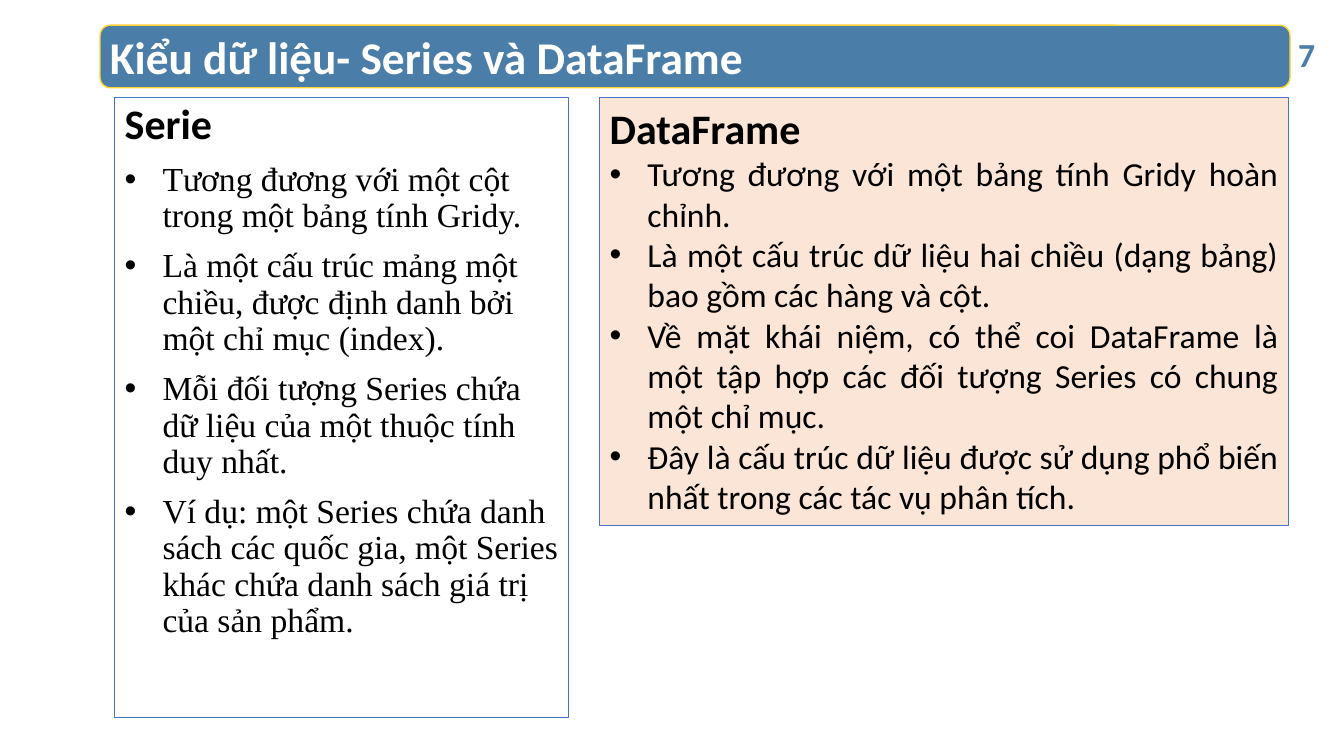
from lxml.etree import SubElement
from pptx import Presentation
from pptx.dml.color import RGBColor
from pptx.enum.shapes import MSO_SHAPE as Shape
from pptx.enum.text import MSO_ANCHOR as Anchor, PP_ALIGN as Align
from pptx.oxml.ns import qn
from pptx.util import Pt

COLORS = {
    "banner": "4A7DA7",
    "gold": "FFD330",
    "border": "4472C4",
    "peach": "FBE5D6",
    "black": "000000",
    "white": "FFFFFF",
}

SERIES_POINTS = [
    "Tương đương với một cột trong một bảng tính Gridy.",
    "Là một cấu trúc mảng một chiều, được định danh bởi một chỉ mục (index).",
    "Mỗi đối tượng Series chứa dữ liệu của một thuộc tính duy nhất.",
    "Ví dụ: một Series chứa danh sách các quốc gia, một Series khác chứa "
    "danh sách giá trị của sản phẩm.",
]
DATAFRAME_POINTS = [
    "Tương đương với một bảng tính Gridy hoàn chỉnh.",
    "Là một cấu trúc dữ liệu hai chiều (dạng bảng) bao gồm các hàng và cột.",
    "Về mặt khái niệm, có thể coi DataFrame là một tập hợp các đối tượng "
    "Series có chung một chỉ mục.",
    "Đây là cấu trúc dữ liệu được sử dụng phổ biến nhất trong các tác vụ "
    "phân tích.",
]


class SlideBuilder:
    heading_font = "Calibri"
    heading_size = 30
    point_size = 24
    indent = 27

    def __init__(self, slide):
        self.slide = slide

    def color(self, name):
        return RGBColor.from_string(COLORS[name])

    def box(self, kind, bounds, line, line_width, fill=None):
        shape = self.slide.shapes.add_shape(kind, *map(Pt, bounds))
        shape.shadow.inherit = False
        if fill:
            shape.fill.solid()
            shape.fill.fore_color.rgb = self.color(fill)
        else:
            shape.fill.background()
        shape.line.color.rgb = self.color(line)
        shape.line.width = Pt(line_width)
        return shape

    def add_text(self, paragraph, text, size, color="black", bold=False,
                 font=heading_font, **layout):
        for name, value in {"alignment": Align.LEFT, **layout}.items():
            setattr(paragraph, name, value)
        run = paragraph.add_run()
        run.text = text
        style = {"name": font, "size": Pt(size), "bold": bold}
        for name, value in style.items():
            setattr(run.font, name, value)
        run.font.color.rgb = self.color(color)

    def label(self, bounds, text, size, color, anchor=Anchor.TOP, **layout):
        frame = self.slide.shapes.add_textbox(*map(Pt, bounds)).text_frame
        frame.word_wrap = True
        frame.vertical_anchor = anchor
        self.add_text(frame.paragraphs[0], text, size, color, bold=True,
                      **layout)

    def bullet(self, paragraph):
        properties = paragraph._p.get_or_add_pPr()
        properties.set("marL", str(Pt(self.indent)))
        properties.set("indent", str(-Pt(self.indent)))
        SubElement(properties, qn("a:buFont"), typeface="Arial")
        SubElement(properties, qn("a:buChar"), char="•")

    def panel(self, bounds, heading, points, font, fill=None,
              alignment=Align.LEFT, **spacing):
        shape = self.box(Shape.RECTANGLE, bounds, "border", 0.75, fill)
        frame = shape.text_frame
        frame.word_wrap = True
        frame.vertical_anchor = Anchor.TOP
        self.add_text(frame.paragraphs[0], heading, self.heading_size,
                      bold=True, **spacing)
        for point in points:
            paragraph = frame.add_paragraph()
            self.add_text(paragraph, point, self.point_size, font=font,
                          alignment=alignment, **spacing)
            self.bullet(paragraph)


def main():
    presentation = Presentation()
    presentation.slide_width = Pt(960)
    presentation.slide_height = Pt(540)
    builder = SlideBuilder(
        presentation.slides.add_slide(presentation.slide_layouts[6]))

    builder.box(Shape.ROUNDED_RECTANGLE, (71.5, 18, 850, 44.7),
                "gold", 1, "banner")
    builder.label((71.5, 20.9, 856, 43.2), "Kiểu dữ liệu- Series và DataFrame",
                  32.4, "white", Anchor.MIDDLE, line_spacing=0.9)
    builder.panel((82, 70, 324, 442.8), "Serie", SERIES_POINTS,
                  "Times New Roman", line_spacing=0.9, space_before=Pt(10))
    builder.label((920.2, 20.9, 39.8, 41.8), "7", 24, "banner")
    builder.panel((428.4, 70, 491.8, 305.3), "DataFrame", DATAFRAME_POINTS,
                  "Calibri", "peach", Align.JUSTIFY)

    presentation.save("out.pptx")


if __name__ == "__main__":
    main()
